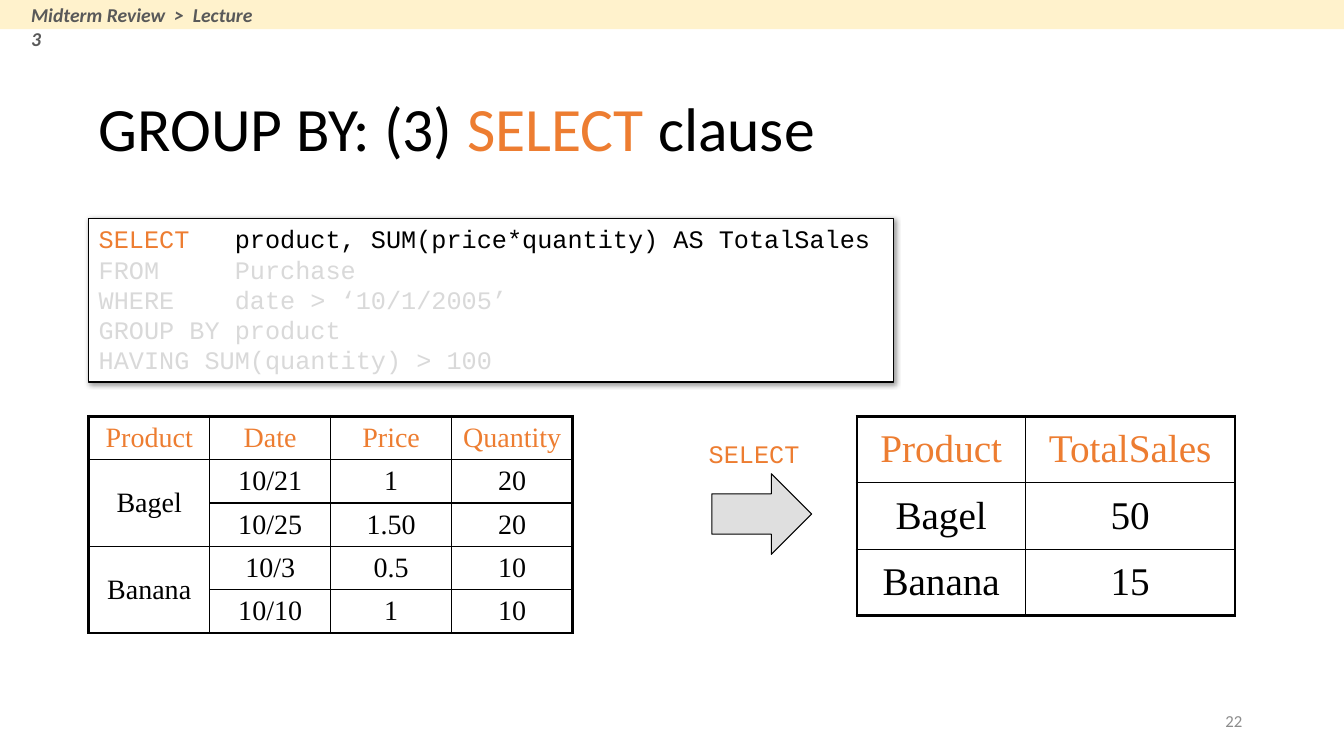
from lxml.etree import SubElement
from pptx import Presentation
from pptx.dml.color import RGBColor
from pptx.enum.shapes import MSO_SHAPE
from pptx.enum.text import MSO_ANCHOR, MSO_AUTO_SIZE, PP_ALIGN
from pptx.oxml.ns import qn
from pptx.util import Inches, Pt

ORANGE, BLACK, FADED = "ED7D31", "000000", "D9D9D9"
CODE_FONT, TABLE_FONT, MAIN_FONT = "Courier New", "Times New Roman", "Calibri"


def color(value):
    """Turn a hex string into a colour."""
    return RGBColor.from_string(value)


def add_xml(parent, tag, **attributes):
    """Append a drawing element with the given attributes."""
    return SubElement(parent, qn(tag), {key: str(item) for key, item in attributes.items()})


class SlideBuilder:
    """Hold the current slide and its text style."""

    def __init__(self, deck):
        """Start a slide with a title placeholder."""
        self.slide = deck.slides.add_slide(deck.slide_layouts[5])

    def set_lines(self, frame, lines, size, font, align=PP_ALIGN.LEFT, anchor=MSO_ANCHOR.TOP,
                  wrap=True, spacing=None, bold=False, italic=False):
        """Fill a frame with lines made of (text, colour) parts."""
        frame.word_wrap = wrap
        frame.auto_size = MSO_AUTO_SIZE.NONE
        frame.vertical_anchor = anchor
        for index, parts in enumerate(lines):
            paragraph = frame.paragraphs[0] if index == 0 else frame.add_paragraph()
            paragraph.alignment = align
            if spacing:
                paragraph.line_spacing = spacing
            for text, hue in parts:
                run = paragraph.add_run()
                run.text = text
                run.font.size, run.font.name = Pt(size), font
                run.font.bold, run.font.italic = bold, italic
                run.font.color.rgb = color(hue)

    def title(self, box, parts):
        """Place and format the title."""
        heading = self.slide.shapes.title
        heading.left, heading.top, heading.width, heading.height = map(Inches, box)
        self.set_lines(heading.text_frame, [parts], 44, MAIN_FONT,
                       anchor=MSO_ANCHOR.MIDDLE, spacing=0.9)

    def text(self, box, content, hue, size, font, **style):
        """Add a one-paragraph text box."""
        frame = self.slide.shapes.add_textbox(*map(Inches, box)).text_frame
        self.set_lines(frame, [[(content, hue)]], size, font, **style)

    def shape(self, kind, box, fill, line=None):
        """Add a filled preset shape without a shadow."""
        figure = self.slide.shapes.add_shape(kind, *map(Inches, box))
        figure.shadow.inherit = False
        figure.fill.solid()
        figure.fill.fore_color.rgb = color(fill)
        if line:
            figure.line.color.rgb = color(line)
            figure.line.width = Pt(0.75)
        else:
            figure.line.fill.background()
        return figure

    def code(self, box, lines):
        """Add a shadowed code panel."""
        panel = self.shape(MSO_SHAPE.RECTANGLE, box, "FFFFFF", BLACK)
        effects = panel.element.spPr.find(qn("a:effectLst"))
        shadow = add_xml(effects, "a:outerShdw", blurRad=Pt(4), dist=Pt(1), dir=45 * 60000)
        add_xml(add_xml(shadow, "a:srgbClr", val=BLACK), "a:alpha", val=40000)
        self.set_lines(panel.text_frame, lines, 18, CODE_FONT, wrap=False, spacing=Pt(21.6))

    def arrow(self, box):
        """Add a half-transparent block arrow."""
        block = self.shape(MSO_SHAPE.RIGHT_ARROW, box, "C0C0C0", BLACK)
        tint = block.element.spPr.find(qn("a:solidFill"))[0]
        add_xml(tint, "a:alpha", val=50000)

    def table(self, left, top, widths, row_height, rows, size):
        """Add a framed table; None joins a cell to the one above."""
        box = map(Inches, (left, top, sum(widths), row_height * len(rows)))
        grid = self.slide.shapes.add_table(len(rows), len(widths), *box).table
        grid.first_row = grid.horz_banding = False
        for column, width in zip(grid.columns, widths):
            column.width = Inches(width)
        for r, row in enumerate(rows):
            grid.rows[r].height = Inches(row_height)
            for c, value in enumerate(row):
                cell = grid.cell(r, c)
                reaches_bottom = all(below[c] is None for below in rows[r + 1:])
                self.borders(cell, {"a:lnL": c == 0, "a:lnR": c == len(widths) - 1,
                                    "a:lnT": r == 0, "a:lnB": reaches_bottom})
                cell.fill.background()
                if value is None:
                    grid.cell(r - 1, c).merge(cell)
                    continue
                self.set_lines(cell.text_frame, [[(value, BLACK if r else ORANGE)]], size,
                               TABLE_FONT, align=PP_ALIGN.CENTER)
                cell.vertical_anchor = MSO_ANCHOR.MIDDLE

    def borders(self, cell, edges):
        """Draw thick outer and thin inner cell borders."""
        properties = cell._tc.get_or_add_tcPr()
        for tag, outer in edges.items():
            line = add_xml(properties, tag, w=Pt(2.25 if outer else 1))
            add_xml(add_xml(line, "a:solidFill"), "a:srgbClr", val=BLACK)


def main():
    """Build and save the slide."""
    deck = Presentation()
    deck.slide_width, deck.slide_height = Inches(13.33), Inches(7.5)
    page = SlideBuilder(deck)
    page.text((9.42, 6.95, 3, 0.4), "22", "8C8C8C", 12, MAIN_FONT,
              align=PP_ALIGN.RIGHT, anchor=MSO_ANCHOR.MIDDLE)
    page.title((0.88, 0.68, 10.99, 1.25),
               [("GROUP BY: (3) ", BLACK), ("SELECT", ORANGE), (" clause", BLACK)])
    page.arrow((7.06, 4.7, 0.99, 0.8))
    faded_clauses = ["FROM     Purchase", "WHERE    date > ‘10/1/2005’",
                     "GROUP BY product", "HAVING SUM(quantity) > 100"]
    select_clause = [("SELECT   ", ORANGE),
                     ("product, SUM(price*quantity) AS TotalSales", BLACK)]
    page.code((0.88, 2.17, 7.98, 1.62),
              [select_clause] + [[(clause, FADED)] for clause in faded_clauses])
    page.table(8.5, 4.13, [1.67, 2.08], 0.66,
               [["Product", "TotalSales"], ["Bagel", "50"], ["Banana", "15"]], 28)
    page.text((6.93, 4.3, 1.11, 0.4), "SELECT", ORANGE, 18, CODE_FONT, wrap=False)
    purchases = [["Product", "Date", "Price", "Quantity"],
                 ["Bagel", "10/21", "1", "20"], [None, "10/25", "1.50", "20"],
                 ["Banana", "10/3", "0.5", "10"], [None, "10/10", "1", "10"]]
    page.table(0.88, 4.13, [1.2] * 4, 0.43, purchases, 20)
    page.shape(MSO_SHAPE.RECTANGLE, (0, 0, 13.33, 0.29), "FFF2CC")
    page.text((0.21, -0.02, 2.48, 0.34), "Midterm Review  >  Lecture 3", "595959", 14,
              MAIN_FONT, bold=True, italic=True)
    deck.save("out.pptx")


if __name__ == "__main__":
    main()
